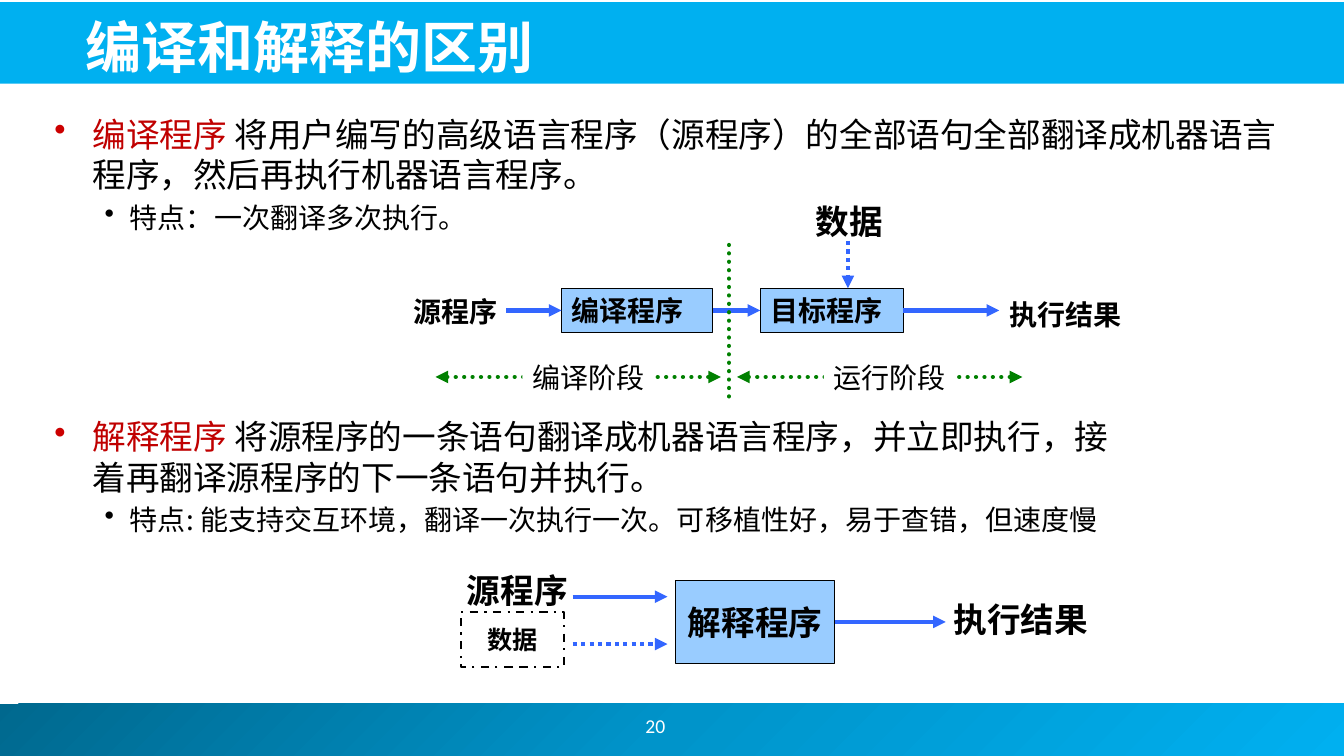
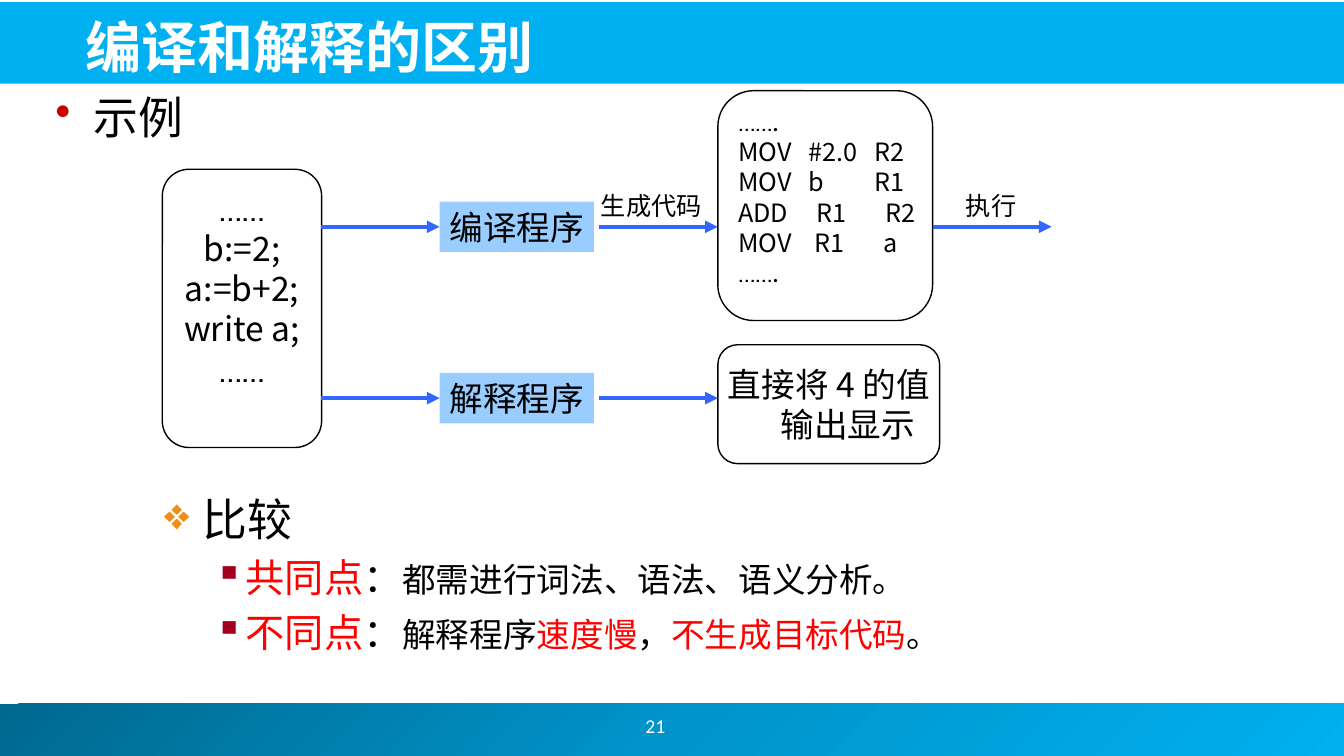
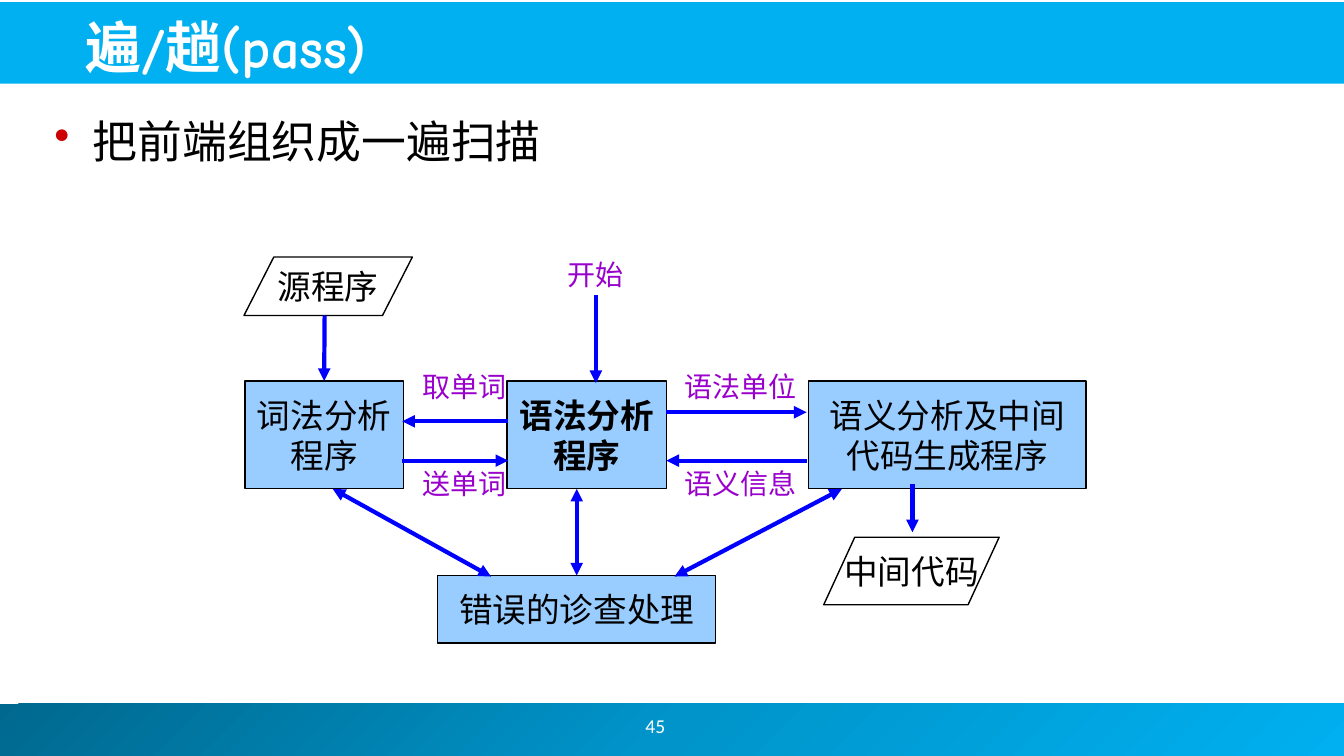
"""Build three lecture slides on compilers, interpreters and passes."""
from pptx import Presentation
from pptx.dml.color import RGBColor
from pptx.enum.dml import MSO_LINE as DASH
from pptx.enum.shapes import MSO_CONNECTOR as CONN, MSO_SHAPE as SHAPE
from pptx.enum.text import MSO_ANCHOR as ANCHOR, PP_ALIGN as ALIGN
from pptx.oxml.ns import qn
from pptx.util import Inches, Pt
from lxml.etree import SubElement

C = {
    "black": "000000", "white": "FFFFFF", "sky": "00B0F0", "deep": "00688E", "mid": "0094CA",
    "box": "99CCFF", "arrow": "3366FF", "blue": "0000FF", "green": "008000",
    "purple": "9900CC", "red": "FF0000", "term": "C00000", "dot": "CC0000",
    "gem": "EF8E1C", "square": "A4001D",
}
CJK = "Noto Sans CJK JP"
STYLES = {
    "top": (0.38, -0.38, "•", "dot"),
    "sub": (0.75, -0.25, "•", "black"),
    "gem": (0.38, -0.38, "❖", "gem"),
    "square": (0.81, -0.31, "▪", "square"),
    "hang": (0.38, -0.38, None, None),
}


def box(s, at, paras, size=24, color="black", font=CJK, bold=False, kind=None, fill=None,
        line=None, dash=None, align=ALIGN.CENTER, anchor=ANCHOR.MIDDLE, wrap=True):
    at = [Inches(v) for v in at]
    if kind is None:
        sp = s.shapes.add_textbox(*at)
    else:
        sp = s.shapes.add_shape(kind, *at)
        sp.shadow.inherit = False
        if fill:
            sp.fill.solid()
            sp.fill.fore_color.rgb = RGBColor.from_string(C[fill])
        else:
            sp.fill.background()
        if line:
            sp.line.color.rgb = RGBColor.from_string(C["black"])
            sp.line.width = Pt(line)
            if dash:
                sp.line.dash_style = dash
        else:
            sp.line.fill.background()
    tf = sp.text_frame
    tf.word_wrap = wrap
    tf.vertical_anchor = anchor
    for i, para in enumerate(paras):
        p = tf.paragraphs[0] if i == 0 else tf.add_paragraph()
        style, runs = (None, [(para, size, color)]) if isinstance(para, str) else para
        p.alignment = align
        if style:
            left, indent, char, tint = STYLES[style]
            pPr = p._p.get_or_add_pPr()
            pPr.set("marL", str(Inches(left)))
            pPr.set("indent", str(Inches(indent)))
            if char:
                SubElement(SubElement(pPr, qn("a:buClr")), qn("a:srgbClr")).set("val", C[tint])
                SubElement(pPr, qn("a:buChar")).set("char", char)
            if i:
                p.space_before = Pt(round(0.2 * runs[0][1], 1))
        for text, run_size, run_color, *face in runs:
            r = p.add_run()
            r.text = text
            r.font.size = Pt(run_size)
            r.font.bold = bold
            r.font.color.rgb = RGBColor.from_string(C[run_color])
            r.font.name = face[0] if face else font
            SubElement(r._r.get_or_add_rPr(), qn("a:ea")).set("typeface", face[0] if face else CJK)
    return sp


def link(s, a, b, color="arrow", ends=("tail",), dash=None, start=None, end=None, cap="flat"):
    cx = s.shapes.add_connector(CONN.STRAIGHT, *[Inches(v) for v in (*a, *b)])
    if start:
        cx.begin_connect(*start)
    if end:
        cx.end_connect(*end)
    cx.line.color.rgb = RGBColor.from_string(C[color])
    cx.line.width = Pt(3)
    if dash:
        cx.line.dash_style = dash
    ln = cx.line._get_or_add_ln()
    ln.set("cap", cap)
    for tip in ends:
        SubElement(ln, qn(f"a:{tip}End")).set("type", "triangle")
    SubElement(cx._element.spPr, qn("a:effectLst"))


prs = Presentation()
prs.slide_width, prs.slide_height = Inches(13.33), Inches(7.5)
left_top = {"align": ALIGN.LEFT, "anchor": ANCHOR.TOP}
both = ("head", "tail")

slides = []
for title, number in (("编译和解释的区别", "20"), ("编译和解释的区别", "21"), ("遍/趟(pass)", "45")):
    s = prs.slides.add_slide(prs.slide_layouts[6])
    band = box(s, (-0.05, 6.98, 13.39, 0.52), [], kind=SHAPE.RECTANGLE)
    band.fill.gradient()
    band.fill.gradient_angle = 315
    stops = band._element.spPr.find(".//" + qn("a:gsLst"))
    stops.clear()
    for pos, name in ((0, "deep"), (50, "mid"), (100, "sky")):
        gs = SubElement(stops, qn("a:gs"))
        gs.set("pos", str(pos * 1000))
        SubElement(gs, qn("a:srgbClr")).set("val", C[name])
    box(s, (-0.02, 0.02, 13.36, 0.81), [], kind=SHAPE.RECTANGLE, fill="sky")
    box(s, (0.75, 0.05, 12.14, 0.79), [title], 40, "white", "Comic Neue", True,
        align=ALIGN.LEFT, anchor=ANCHOR.BOTTOM)
    box(s, (5.2, 6.95, 2.6, 0.5), [number], 14, "white", "Calibri")
    slides.append(s)

s = slides[0]
for at, term, meaning, trait in (
    ((0.44, 1.08, 12.44, 1.4), "编译程序 ",
     "将用户编写的高级语言程序（源程序）的全部语句全部翻译成机器语言程序，然后再执行机器语言程序。",
     "特点：一次翻译多次执行。"),
    ((0.44, 4.08, 10.8, 1.71), "解释程序 ",
     "将源程序的一条语句翻译成机器语言程序，并立即执行，接着再翻译源程序的下一条语句并执行。",
     "特点: 能支持交互环境，翻译一次执行一次。可移植性好，易于查错，但速度慢"),
):
    box(s, at, [("top", [(term, 24, "term"), (meaning, 24, "black")]),
                ("sub", [(trait, 20, "black")])], **left_top)

compiler, target = [
    box(s, (x, 2.86, w, 0.44), [text], 20, bold=True, kind=SHAPE.RECTANGLE, fill="box",
        line=0.75, align=ALIGN.LEFT)
    for x, w, text in ((5.57, 1.5, "编译程序"), (7.54, 1.42, "目标程序"))]
for at, text, size in (((4, 2.87, 1.18, 0.43), "源程序", 20),
                       ((9.91, 2.9, 1.42, 0.43), "执行结果", 20),
                       ((7.99, 1.92, 1.34, 0.55), "数据", 24)):
    box(s, at, [text], size, bold=True, align=ALIGN.LEFT)
link(s, (5.02, 3.08), (5.57, 3.08), end=(compiler, 1))
link(s, (7.07, 3.08), (7.54, 3.08), start=(compiler, 3), end=(target, 1))
link(s, (8.96, 3.08), (9.91, 3.08), start=(target, 3))
link(s, (8.41, 2.39), (8.41, 2.86), dash=DASH.ROUND_DOT)

link(s, (7.23, 2.43), (7.23, 4), "green", (), DASH.ROUND_DOT, cap="rnd")
for x, label_x, text in ((4.32, 5.18, "编译阶段"), (7.31, 8.17, "运行阶段")):
    link(s, (x, 3.74), (x + 2.83, 3.74), "green", both, DASH.ROUND_DOT, cap="rnd")
    box(s, (label_x, 3.53, 1.31, 0.43), [text], 20, kind=SHAPE.RECTANGLE, fill="white",
        wrap=False)

interpreter = box(s, (6.7, 5.76, 1.58, 0.82), ["解释程序"], bold=True, kind=SHAPE.RECTANGLE,
                  fill="box", line=0.75)
box(s, (4.42, 5.6, 1.42, 0.5), ["源程序"], bold=True)
box(s, (9.22, 5.89, 1.81, 0.5), ["执行结果"], bold=True)
box(s, (4.57, 6.07, 1.02, 0.55), ["数据"], 18, bold=True, kind=SHAPE.RECTANGLE, line=1.5,
    dash=DASH.DASH_DOT, wrap=False)
link(s, (5.68, 5.92), (6.62, 5.92))
link(s, (5.68, 6.39), (6.62, 6.39), dash=DASH.ROUND_DOT)
link(s, (8.28, 6.17), (9.38, 6.17), start=(interpreter, 3))

s = slides[1]
box(s, (0.45, 0.84, 9, 0.76), [("top", [("示例", 32, "black")])], **left_top)
for x, w, text in ((5.86, 1.2, "生成代码"), (9.48, 0.7, "执行")):
    box(s, (x, 1.84, w, 0.4), [text], 18, wrap=False)
dots = (None, [("……", 24, "black", "Cabin")])
source = box(s, (1.61, 1.68, 1.58, 2.76), [dots, "b:=2;", "a:=b+2;", "write a;", dots],
             kind=SHAPE.ROUNDED_RECTANGLE, line=1, wrap=False)
source.text_frame.margin_bottom = Inches(0.45)
dots = (None, [("……", 18, "black", "Cabin"), (".", 18, "black")])
box(s, (7.12, 0.9, 2.13, 2.28),
    [dots, "MOV   #2.0   R2", "MOV   b         R1", "ADD     R1       R2",
     "MOV    R1       a", dots],
    18, kind=SHAPE.ROUNDED_RECTANGLE, line=1, wrap=False, **left_top)
result = box(s, (7.12, 3.42, 2.2, 1.18), [("hang", [("直接将 4 的值输出显示", 24, "black")])],
             kind=SHAPE.ROUNDED_RECTANGLE, line=1)
tf = result.text_frame
tf.margin_left = tf.margin_right = Inches(0.02)
tf.margin_top = tf.margin_bottom = 0
for y, text in ((2.25, "编译程序"), (3.95, "解释程序")):
    translator = box(s, (4.36, y - 0.25, 1.53, 0.5), [text], kind=SHAPE.RECTANGLE, fill="box",
                     wrap=False)
    link(s, (3.18, y), (4.36, y), end=(translator, 1))
    link(s, (5.94, y), (7.12, y))
link(s, (9.25, 2.25), (10.43, 2.25))
box(s, (1.53, 4.83, 9, 1.89), [
    ("gem", [("比较", 32, "black")]),
    ("square", [("共同点", 28, "red"), ("：", 28, "black"),
                ("都需进行词法、语法、语义分析。", 24, "black")]),
    ("square", [("不同点", 28, "red"), ("：", 28, "black"), ("解释程序", 24, "black"),
                ("速度慢", 24, "red"), ("，", 24, "black"),
                ("不生成目标代码", 24, "red"), ("。", 24, "black")]),
], **left_top)

s = slides[2]
box(s, (0.44, 1.08, 12.44, 1.08), [("top", [("把前端组织成一遍扫描", 32, "black")])], **left_top)
for at, adj, text in (((2.42, 2.55, 1.67, 0.58), 0.51, "源程序"),
                      ((8.17, 5.33, 1.74, 0.67), 0.46, "中间代码")):
    data = box(s, at, [text], font="Open Sans", kind=SHAPE.PARALLELOGRAM, line=1, wrap=False)
    data.adjustments[0] = adj
lexer, parser, generator, errors = [
    box(s, at, lines, font="Open Sans", bold=bold, kind=SHAPE.RECTANGLE, fill="box", line=1,
        wrap=False)
    for at, lines, bold in (
        ((2.43, 3.78, 1.57, 1.07), ["词法分析", "程序"], False),
        ((5.03, 3.78, 1.58, 1.07), ["语法分析", "程序"], True),
        ((8.02, 3.78, 2.75, 1.07), ["语义分析及中间", "代码生成程序"], False),
        ((4.34, 5.71, 2.76, 0.67), ["错误的诊查处理"], False))]
for x, y, w, text in ((5.47, 2.5, 0.87, "开始"), (3.99, 3.61, 1.24, "取单词"),
                      (4, 4.57, 1.22, "送单词"), (6.61, 3.61, 1.47, "语法单位"),
                      (6.61, 4.57, 1.47, "语义信息")):
    box(s, (x, y, w, 0.44), [text], 20, "purple", "Times New Roman")
for a, b in (((5.04, 4.18), (3.99, 4.18)), ((3.99, 4.57), (5.04, 4.57)),
             ((6.61, 4.09), (8, 4.09)), ((8, 4.57), (6.61, 4.57)),
             ((9.05, 4.8), (9.05, 5.28)), ((5.91, 2.93), (5.91, 3.8))):
    link(s, a, b, "blue")
link(s, (3.22, 3.13), (3.22, 3.78), "blue", end=(lexer, 0))
link(s, (3.3, 4.85), (4.87, 5.72), "blue", both)
link(s, (5.72, 4.85), (5.72, 5.71), "blue", both, end=(errors, 0))
link(s, (8.35, 4.85), (6.69, 5.72), "blue", both)

prs.save("out.pptx")
